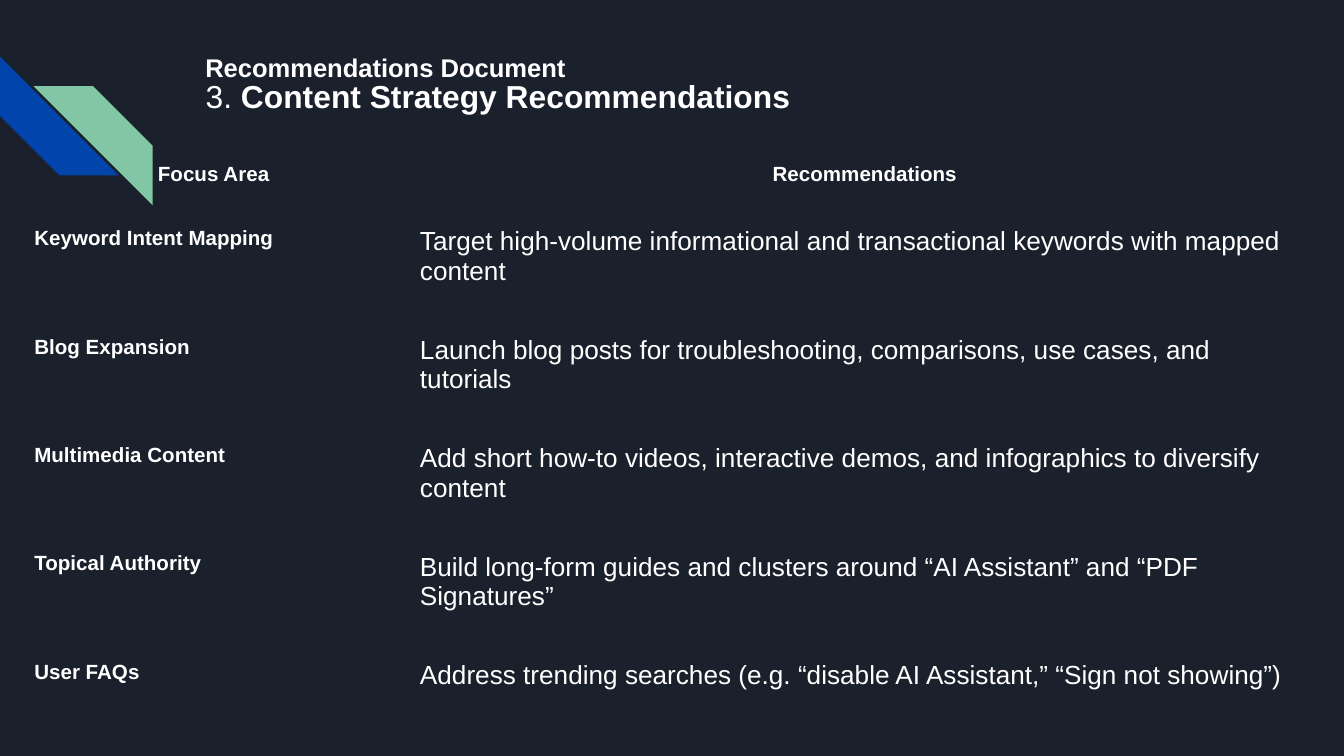
from pptx import Presentation
from pptx.dml.color import RGBColor
from pptx.enum.shapes import MSO_SHAPE
from pptx.enum.text import MSO_ANCHOR, MSO_AUTO_SIZE, PP_ALIGN
from pptx.util import Inches, Pt

NO_STYLE_NO_GRID = "{2D5ABB26-0587-4C30-8999-92F81FD0307C}"

RECOMMENDATIONS = [
    ("Keyword Intent Mapping",
     "Target high-volume informational and transactional keywords with mapped content"),
    ("Blog Expansion",
     "Launch blog posts for troubleshooting, comparisons, use cases, and tutorials"),
    ("Multimedia Content",
     "Add short how-to videos, interactive demos, and infographics to diversify content"),
    ("Topical Authority",
     "Build long-form guides and clusters around “AI Assistant” and “PDF Signatures”"),
    ("User FAQs",
     "Address trending searches (e.g. “disable AI Assistant,” “Sign not showing”)"),
]


def color(value):
    return RGBColor.from_string(value)


def grid(cells):
    """Length of a number of grid columns or rows, each a tenth of an inch."""
    return Inches(cells / 10)


def add_text(paragraph, text, size=11, bold=True, fill="FFFFFF", font="Arial",
             align=PP_ALIGN.LEFT, spacing=1.0):
    paragraph.alignment = align
    paragraph.line_spacing = spacing
    run = paragraph.add_run()
    run.text = text
    run.font.name = font
    run.font.size = Pt(size)
    run.font.bold = bold
    run.font.color.rgb = color(fill)


class SlideBuilder:
    background = "1B212C"
    inset = 1

    def __init__(self, presentation):
        self.slide = presentation.slides.add_slide(presentation.slide_layouts[5])
        fill = self.slide.background.fill
        fill.solid()
        fill.fore_color.rgb = color(self.background)

    def prepare_frame(self, shape, anchor, left_inset, top_inset):
        frame = shape.text_frame
        frame.word_wrap = True
        frame.auto_size = MSO_AUTO_SIZE.NONE
        frame.vertical_anchor = anchor
        frame.margin_left, frame.margin_top = grid(left_inset), grid(top_inset)
        frame.margin_right = frame.margin_bottom = grid(self.inset)
        return frame.paragraphs[0]

    def stripe(self, left, top, size, fill, rotation):
        shape = self.slide.shapes.add_shape(
            MSO_SHAPE.DIAGONAL_STRIPE, grid(left), grid(top), grid(size), grid(size))
        shape.adjustments[0] = 0.5
        shape.rotation = rotation
        shape.shadow.inherit = False
        shape.fill.solid()
        shape.fill.fore_color.rgb = color(fill)
        shape.line.fill.background()

    def title(self, left, top, width, height, text):
        shape = self.slide.shapes.title
        shape.left, shape.top = grid(left), grid(top)
        shape.width, shape.height = grid(width), grid(height)
        paragraph = self.prepare_frame(shape, MSO_ANCHOR.TOP, self.inset, self.inset)
        add_text(paragraph, text, size=13.7, spacing=1.5)

    def heading(self, left, top, width, height, number, text):
        shape = self.slide.shapes.add_textbox(
            grid(left), grid(top), grid(width), grid(height))
        paragraph = self.prepare_frame(shape, MSO_ANCHOR.MIDDLE, 1.9, 1.75)
        add_text(paragraph, number, size=17, bold=False, spacing=1.15)
        add_text(paragraph, text, size=17, spacing=1.15)

    def cell(self, cell, text, **text_format):
        cell.fill.background()
        cell.margin_left = cell.margin_right = grid(self.inset)
        cell.margin_top = cell.margin_bottom = grid(self.inset)
        add_text(cell.text_frame.paragraphs[0], text, **text_format)

    def table(self, left, top, widths, header_height, row_height, headers, rows):
        heights = [header_height] + [row_height] * len(rows)
        frame = self.slide.shapes.add_table(
            len(heights), len(widths), grid(left), grid(top),
            grid(sum(widths)), grid(sum(heights)))
        table = frame.table
        table.first_row = table.horz_banding = False
        for style_id in frame.element.xpath(".//a:tableStyleId"):
            style_id.text = NO_STYLE_NO_GRID
        for column, width in zip(table.columns, widths):
            column.width = grid(width)
        for row, height in zip(table.rows, heights):
            row.height = grid(height)
        for column, text in enumerate(headers):
            self.cell(table.cell(0, column), text, align=PP_ALIGN.CENTER, spacing=1.15)
        for row, (focus_area, recommendation) in enumerate(rows, start=1):
            self.cell(table.cell(row, 0), focus_area)
            self.cell(table.cell(row, 1), recommendation, size=14, bold=False)


def main():
    presentation = Presentation()
    presentation.slide_width, presentation.slide_height = grid(100), grid(56.25)
    builder = SlideBuilder(presentation)
    builder.stripe(0, 4.2, 8.85, "0145AC", rotation=270)
    builder.stripe(2.5, 6.42, 8.85, "82C7A5", rotation=90)
    builder.title(14.27, 1.7, 77, 4.7, "Recommendations Document")
    builder.heading(13.4, 4, 47.3, 5.1, "3. ", "Content Strategy Recommendations")
    builder.table(1.55, 10.9, widths=[28.7, 68.2], header_height=5, row_height=8.07,
                  headers=["Focus Area", "Recommendations"], rows=RECOMMENDATIONS)
    presentation.save("out.pptx")


if __name__ == "__main__":
    main()
